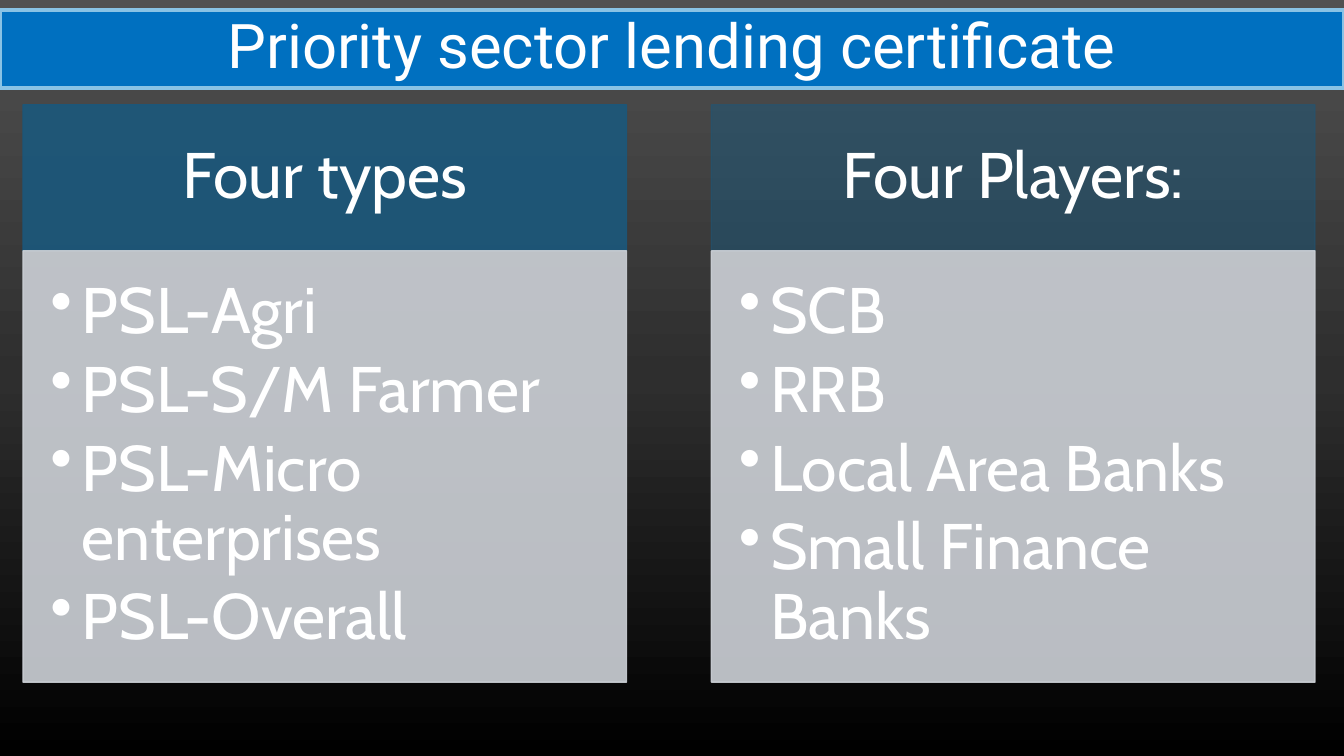
import pptx
import pptx.dml.color
import pptx.enum.shapes
import pptx.enum.text
import pptx.oxml.ns
import pptx.util
from lxml import etree
from pptx.util import Cm, Pt

COLOURS = {
    "white": "FFFFFF",
    "banner": "0070C0",
    "banner edge": "89C3E5",
    "heading": "1B587C",
    "body": "CDD1D7",
}
BACKDROP = [(0, "515151"), (50, "2E2E2E"), (100, "000000")]
COLUMNS = [
    ("Four types", 90,
     ["PSL-Agri", "PSL-S/M Farmer", "PSL-Micro enterprises", "PSL-Overall"]),
    ("Four Players:", 50,
     ["SCB", "RRB", "Local Area Banks", "Small Finance Banks"]),
]
WIDTH, HEIGHT = Cm(33.87), Cm(19.05)
COLUMN_WIDTH, COLUMN_STEP = Cm(15.21), Cm(17.35)
HEADING_HEIGHT = Cm(3.68)
CENTRED = {"alignment": pptx.enum.text.PP_ALIGN.CENTER, "line_spacing": 0.9}
LISTED = {"alignment": pptx.enum.text.PP_ALIGN.LEFT, "line_spacing": 0.9,
          "space_after": Pt(6.5)}


def rgb(name):
    return pptx.dml.color.RGBColor.from_string(COLOURS[name])


def add_child(parent, tag, **attributes):
    return etree.SubElement(parent, pptx.oxml.ns.qn(tag), **attributes)


def paint_background(page):
    fill = page.background.fill
    fill.gradient()
    fill.gradient_angle = 270
    stops = next(page.element.iter(pptx.oxml.ns.qn("a:gsLst")))
    for stop in list(stops):
        stops.remove(stop)
    for percent, colour in BACKDROP:
        stop = add_child(stops, "a:gs", pos=str(percent * 1000))
        add_child(stop, "a:srgbClr", val=colour)


def add_panel(page, box, fill, edge, edge_width, opacity=100):
    panel = page.shapes.add_shape(pptx.enum.shapes.MSO_SHAPE.RECTANGLE, *box)
    panel.shadow.inherit = False
    panel.fill.solid()
    panel.fill.fore_color.rgb = rgb(fill)
    panel.line.color.rgb = rgb(edge)
    panel.line.width = Pt(edge_width)
    if opacity < 100:
        for colour in panel.element.spPr.iter(pptx.oxml.ns.qn("a:srgbClr")):
            add_child(colour, "a:alpha", val=str(opacity * 1000))
    return panel


def write(panel, lines, font, size, layout, insets, anchor, bullets=False):
    frame = panel.text_frame
    frame.word_wrap = True
    frame.vertical_anchor = anchor
    for side, inset in zip(("left", "top", "right", "bottom"), insets):
        setattr(frame, f"margin_{side}", Cm(inset))
    for index, line in enumerate(lines):
        para = frame.add_paragraph() if index else frame.paragraphs[0]
        for name, value in layout.items():
            setattr(para, name, value)
        if bullets:
            properties = para._p.get_or_add_pPr()
            properties.set("marL", str(Cm(0.79)))
            properties.set("indent", str(-Cm(0.79)))
            add_child(properties, "a:buChar", char="•")
        span = para.add_run()
        span.text = line
        span.font.name = font
        span.font.size = Pt(size)
        span.font.color.rgb = rgb("white")


def add_title(page, box, text):
    banner = add_panel(page, box, "banner", "banner edge", 3)
    write(banner, [text], "Roboto", 44, CENTRED, (0.25, 0.13, 0.25, 0.13),
          pptx.enum.text.MSO_ANCHOR.MIDDLE)


def add_column(page, box, heading, opacity, items):
    """Place a heading panel with a bulleted panel filling the rest of the box."""
    left, top, width, height = box
    head = add_panel(page, (left, top, width, HEADING_HEIGHT),
                     "heading", "heading", 1, opacity)
    write(head, [heading], "Cabin", 46, CENTRED, (0.91, 0.51, 0.91, 0.51),
          pptx.enum.text.MSO_ANCHOR.MIDDLE)
    body = add_panel(page, (left, top + HEADING_HEIGHT, width, height - HEADING_HEIGHT),
                     "body", "body", 1, 90)
    write(body, items, "Cabin", 46, LISTED, (0.69, 0.69, 0.91, 1.02),
          pptx.enum.text.MSO_ANCHOR.TOP, bullets=True)


def main():
    deck = pptx.Presentation()
    deck.slide_width, deck.slide_height = WIDTH, HEIGHT
    page = deck.slides.add_slide(deck.slide_layouts[6])
    paint_background(page)
    for index, column in enumerate(COLUMNS):
        box = (Cm(0.58) + index * COLUMN_STEP, Cm(2.64), COLUMN_WIDTH, Cm(14.55))
        add_column(page, box, *column)
    add_title(page, (0, Cm(0.25), WIDTH, Cm(1.96)), "Priority sector lending certificate")
    deck.save("out.pptx")


if __name__ == "__main__":
    main()
